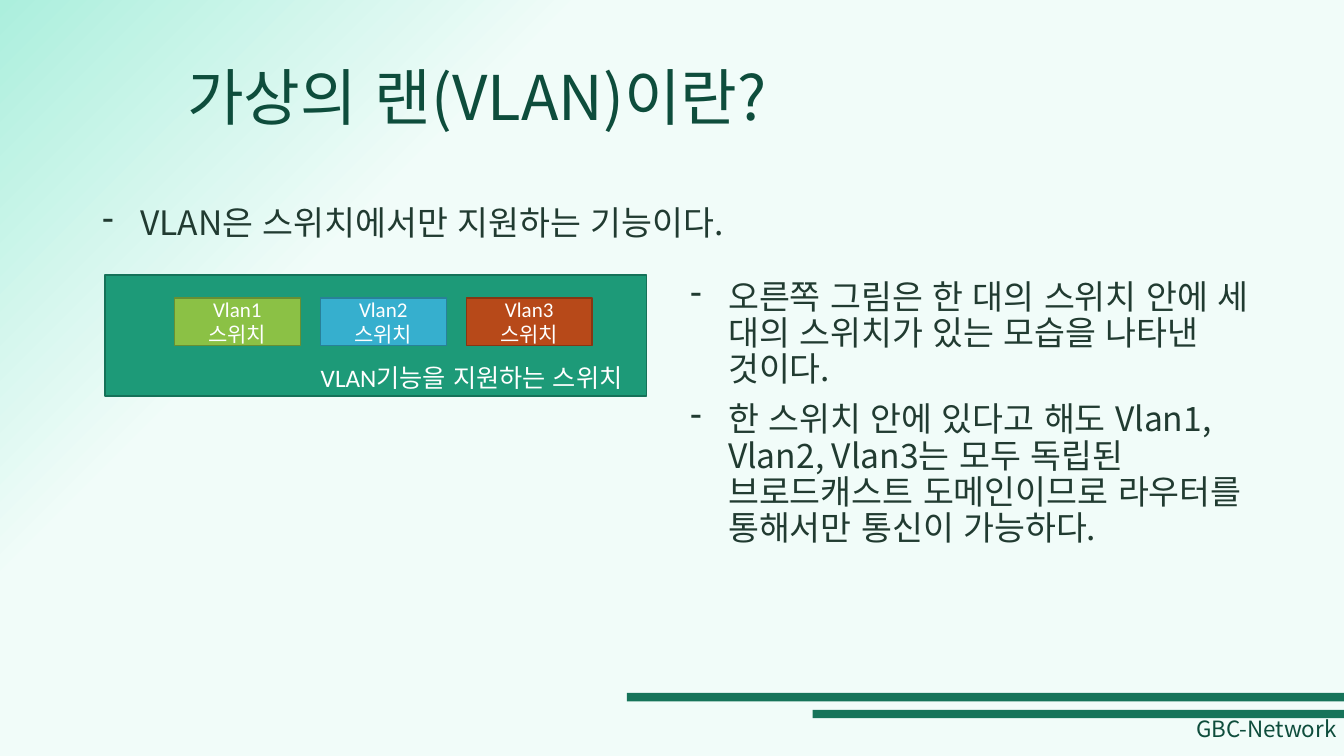
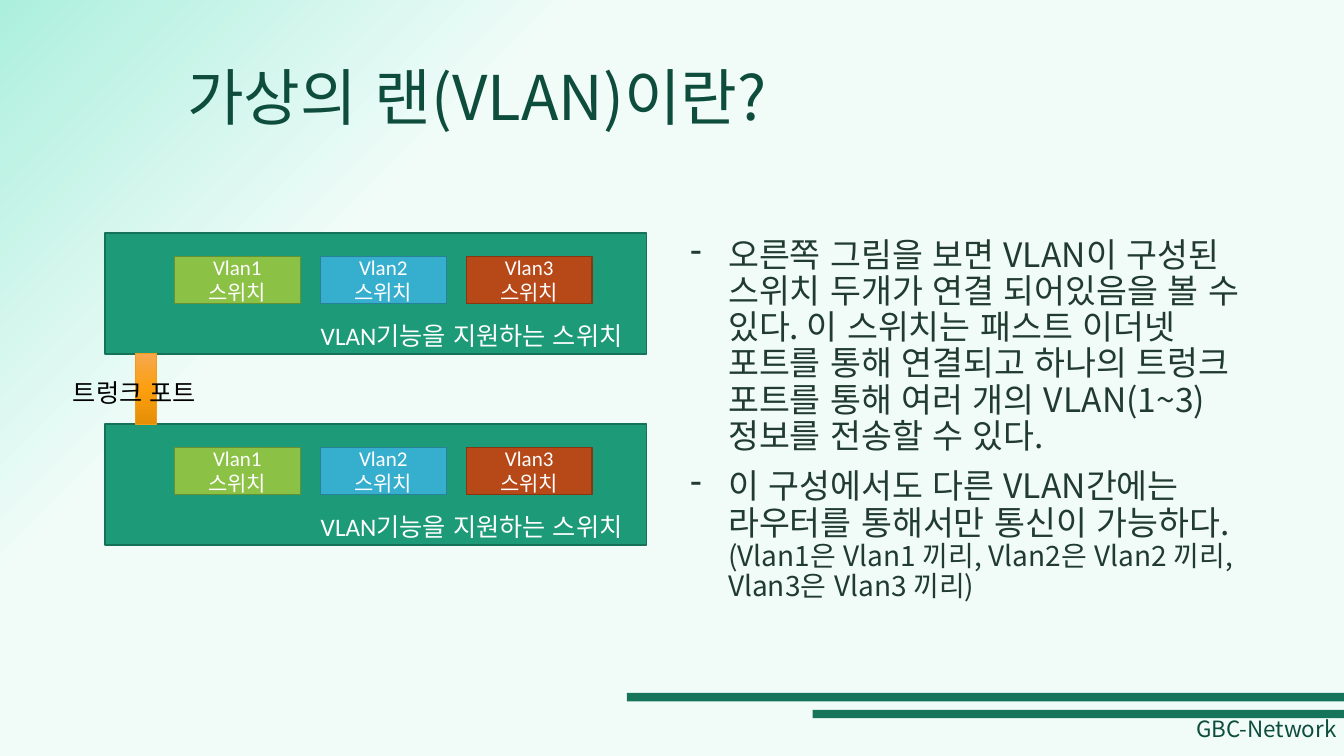
from copy import deepcopy
from dataclasses import dataclass
from typing import NamedTuple

from lxml.etree import SubElement
from pptx import Presentation
from pptx.dml.color import RGBColor
from pptx.dml.fill import FillFormat
from pptx.enum.lang import MSO_LANGUAGE_ID
from pptx.enum.shapes import MSO_SHAPE
from pptx.enum.text import MSO_ANCHOR, PP_ALIGN
from pptx.oxml.ns import qn
from pptx.shapes.autoshape import Shape
from pptx.slide import Slide
from pptx.util import Emu, Pt

PX = 9525  # EMU in one px, 96 px to the inch
WIDE, HIGH = 1280, 720

NOTO, CALIBRI = "Noto Sans CJK KR", "Calibri"
DARK, INK, BAND = "0E4D3C", "213B31", "16745A"
WHITE, BLACK = "FFFFFF", "000000"


class Box(NamedTuple):
    x: int
    y: int
    w: int
    h: int


@dataclass(frozen=True)
class Style:
    size: int
    font: str
    ink: str
    align: PP_ALIGN = PP_ALIGN.LEFT
    lead: float | None = None
    before: int = 0
    bullet: bool = False


@dataclass(frozen=True)
class Chip:
    name: str
    fill: str
    edge: str


class Span(NamedTuple):
    text: str
    size: int | None = None
    fresh: bool = False  # starts on a new line


TITLE = Style(44, NOTO, DARK, lead=0.9)
FOOT = Style(16, NOTO, DARK, PP_ALIGN.CENTER, 0.9, 10)
BODY = Style(24, NOTO, INK, lead=0.9, before=10, bullet=True)
SMALL = Style(15, CALIBRI, WHITE, PP_ALIGN.CENTER)
LABEL = Style(18, CALIBRI, WHITE)
TRUNK = Style(18, CALIBRI, BLACK)

BANDS = [Box(774, 676, 506, 8), Box(597, 660, 683, 8)]
CHIPS = [
    Chip("Vlan1", "8BC145", "678F33"),
    Chip("Vlan2", "36AFCE", "288198"),
    Chip("Vlan3", "B74919", "873612"),
]
RACK = Box(100, 0, 516, 115)
STEP = 139  # from one chip to the next
INDENT = 36


def px(n: int) -> Emu:
    return Emu(n * PX)


def color(code: str) -> RGBColor:
    return RGBColor.from_string(code)


def blend(fill: FillFormat, angle: int, stops: list[tuple[int, str]]) -> None:
    """Linear gradient; the angle runs counter-clockwise."""
    fill.gradient()
    fill.gradient_angle = angle
    nodes = fill.gradient_stops
    first = nodes[0]._gs
    for _ in stops[2:]:
        first.addnext(deepcopy(first))
    for stop, (place, code) in zip(fill.gradient_stops, stops):
        stop.position = place / 100
        stop.color.rgb = color(code)


def write(shape: Shape, style: Style, paras: list[list[Span]]) -> None:
    frame = shape.text_frame
    frame.word_wrap = True
    for n, spans in enumerate(paras):
        para = frame.add_paragraph() if n else frame.paragraphs[0]
        para.alignment = style.align
        para.line_spacing = style.lead
        para.space_before = Pt(style.before)
        if style.bullet:
            props = para._p.get_or_add_pPr()
            props.set("marL", str(px(INDENT)))
            props.set("indent", str(px(-INDENT)))
            SubElement(props, qn("a:buChar")).set("char", "-")
        for span in spans:
            if span.fresh:
                para.add_line_break()
            run = para.add_run()
            run.text = span.text
            font = run.font
            font.size = Pt(span.size or style.size)
            font.name = style.font
            font.color.rgb = color(style.ink)
            font.language_id = MSO_LANGUAGE_ID.KOREAN
            east = SubElement(run._r.get_or_add_rPr(), qn("a:ea"))
            east.set("typeface", NOTO)


def rect(shapes, box: Box, fill: str | None = None,
         edge: str | None = None, width: float = 1) -> Shape:
    shape = shapes.add_shape(MSO_SHAPE.RECTANGLE, *map(px, box))
    shape.shadow.inherit = False
    if fill:
        shape.fill.solid()
        shape.fill.fore_color.rgb = color(fill)
    if edge:
        shape.line.color.rgb = color(edge)
        shape.line.width = Pt(width)
    else:
        shape.line.fill.background()
    return shape


def text(shapes, box: Box, style: Style, *paras: list[Span]) -> Shape:
    shape = shapes.add_textbox(*map(px, box))
    write(shape, style, list(paras))
    return shape


def base(deck, title: str) -> Slide:
    """Blank slide with background, bands, footer and title."""
    slide = deck.slides.add_slide(deck.slide_layouts[6])
    blend(slide.background.fill, 135, [(72, "F1FCF9"), (100, "ACEFDD")])
    for band in BANDS:
        rect(slide.shapes, band, BAND)
    foot = text(slide.shapes, Box(1132, 679, 148, 41), FOOT,
                [Span("GBC-Network")])
    foot.text_frame.margin_left = foot.text_frame.margin_right = 0
    head = text(slide.shapes, Box(169, 26, 1043, 139), TITLE, [Span(title)])
    head.text_frame.vertical_anchor = MSO_ANCHOR.MIDDLE
    return slide


def rack(slide: Slide, top: int) -> None:
    """Switch holding one chip per VLAN."""
    group = slide.shapes.add_group_shape().shapes
    rect(group, RACK._replace(y=top), "1D9A78", "157259")
    for n, chip in enumerate(CHIPS):
        box = Box(RACK.x + 66 + n * STEP, top + 22, 120, 45)
        shape = rect(group, box, chip.fill, chip.edge)
        shape.text_frame.vertical_anchor = MSO_ANCHOR.MIDDLE
        write(shape, SMALL, [[Span(chip.name)], [Span("스위치")]])
    text(group, Box(RACK.x + 196, top + 78, 360, 38), LABEL,
         [Span("VLAN기능을 지원하는 스위치")])


def notes(slide: Slide, top: int, *paras: list[Span]) -> None:
    text(slide.shapes, Box(648, top, 556, 412), BODY, *paras)


def single(deck, title: str) -> None:
    slide = base(deck, title)
    text(slide.shapes, Box(88, 192, 1104, 60), BODY,
         [Span("VLAN은 스위치에서만 지원하는 기능이다.")])
    top = 262
    rack(slide, top)
    notes(
        slide, top,
        [Span("오른쪽 그림은 한 대의 스위치 안에 세 대의 스위치가 있는 "
              "모습을 나타낸 것이다.")],
        [Span("한 스위치 안에 있다고 해도 Vlan1, Vlan2, Vlan3는 모두 독립된 "
              "브로드캐스트 도메인이므로 라우터를 통해서만 통신이 가능하다.")],
    )


def double(deck, title: str) -> None:
    slide = base(deck, title)
    top, gap = 222, 67
    low = top + RACK.h
    rack(slide, top)
    notes(
        slide, top,
        [Span("오른쪽 그림을 보면 VLAN이 구성된 스위치 두개가 연결 "
              "되어있음을 볼 수 있다. 이 스위치는 패스트 이더넷 포트를 통해 "
              "연결되고 하나의 트렁크 포트를 통해 여러 개의 "
              "VLAN(1~3)정보를 전송할 수 있다.")],
        [Span("이 구성에서도 다른 VLAN간에는 라우터를 통해서만 통신이 "
              "가능하다."),
         Span("(Vlan1은 Vlan1 끼리, Vlan2은 Vlan2 끼리, "
              "Vlan3은 Vlan3 끼리)", 20, True)],
    )
    rack(slide, low + gap)
    # Trunk between the two switches
    trunk = rect(slide.shapes, Box(129, low, 20, gap), edge="F19D19", width=0.5)
    blend(trunk.fill, 270, [(0, "F5A84E"), (50, "FC9F0E"), (100, "E58F07")])
    text(slide.shapes, Box(60, 355, 176, 38), TRUNK, [Span("트렁크 포트")])


def main() -> None:
    deck = Presentation()
    deck.slide_width, deck.slide_height = px(WIDE), px(HIGH)
    title = "가상의 랜(VLAN)이란?"
    single(deck, title)
    double(deck, title)
    deck.save("out.pptx")


if __name__ == "__main__":
    main()
